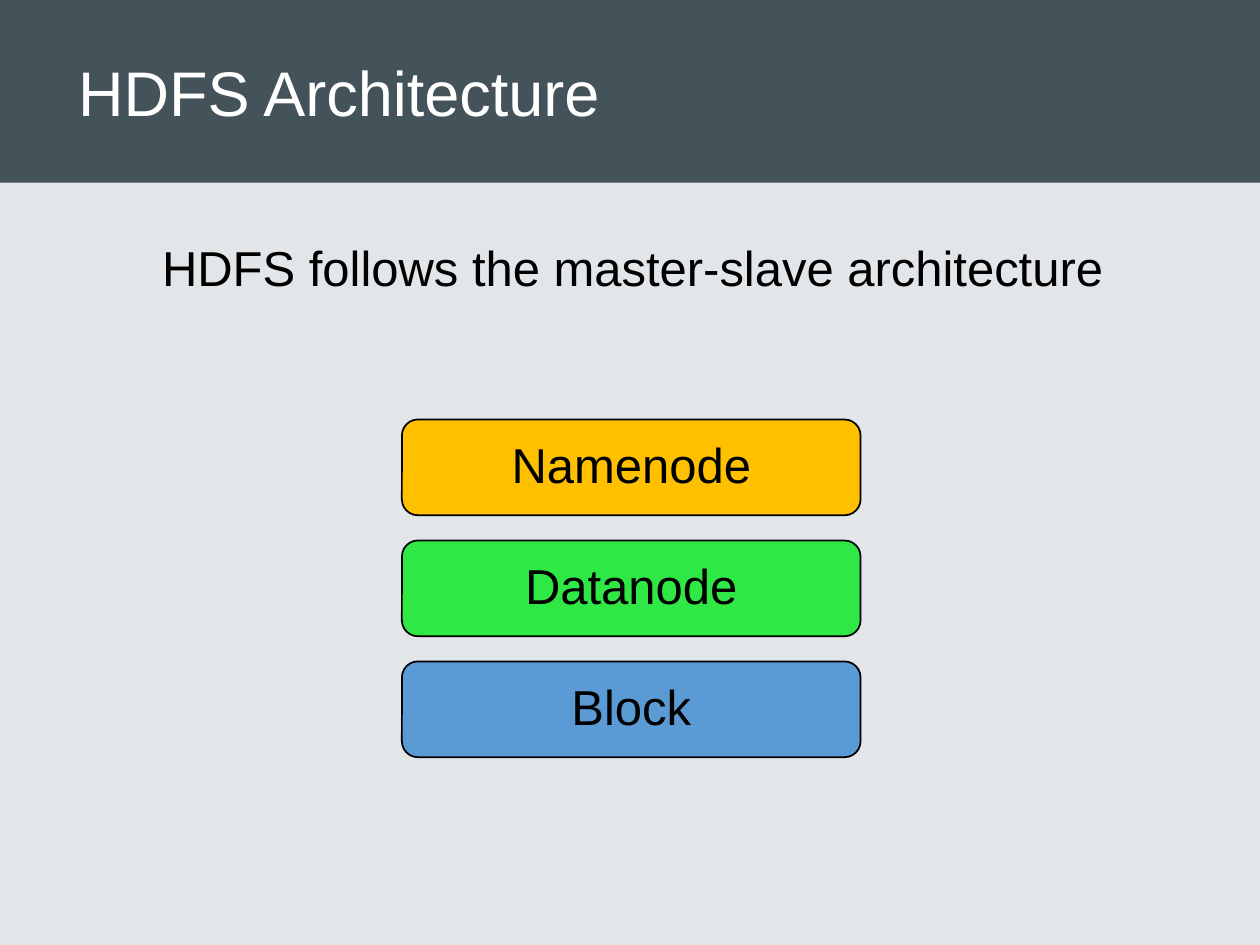
from dataclasses import dataclass

from pptx import Presentation
from pptx.dml.color import RGBColor
from pptx.enum.shapes import MSO_SHAPE
from pptx.enum.text import MSO_ANCHOR, PP_ALIGN
from pptx.shapes.autoshape import Shape
from pptx.slide import Slide
from pptx.util import Inches, Pt

RECT, ROUND = MSO_SHAPE.RECTANGLE, MSO_SHAPE.ROUNDED_RECTANGLE
TOP, MIDDLE = MSO_ANCHOR.TOP, MSO_ANCHOR.MIDDLE
LEFT, CENTER = PP_ALIGN.LEFT, PP_ALIGN.CENTER


@dataclass(frozen=True)
class Theme:
    font: str = "Arial"
    back: str = "E3E6E9"
    band: str = "44525A"
    ink: str = "000000"
    light: str = "FFFFFF"
    head: int = 36
    body: int = 28


@dataclass(frozen=True)
class Node:
    name: str
    fill: str


THEME = Theme()
NODES = [
    Node("Namenode", "FFC000"),
    Node("Datanode", "30E845"),
    Node("Block", "5B9BD5"),
]
NODE_X, NODE_Y, NODE_W, NODE_H = 3.19, 3.33, 3.64, 0.76
STEP = 0.96


def place(shape: Shape, x: float, y: float, w: float, h: float) -> None:
    shape.left, shape.top = Inches(x), Inches(y)
    shape.width, shape.height = Inches(w), Inches(h)


def write(shape: Shape, text: str, size: int, color: str,
          align: PP_ALIGN, anchor: MSO_ANCHOR, lead: float = 1.0) -> None:
    frame = shape.text_frame
    frame.word_wrap = True
    frame.vertical_anchor = anchor
    para = frame.paragraphs[0]
    para.alignment = align
    para.line_spacing = lead
    para.space_before = Pt(0)
    run = para.add_run()
    run.text = text
    run.font.name = THEME.font
    run.font.size = Pt(size)
    run.font.color.rgb = RGBColor.from_string(color)


def add_box(slide: Slide, kind: MSO_SHAPE, fill: str,
            x: float, y: float, w: float, h: float) -> Shape:
    box = slide.shapes.add_shape(kind, Inches(x), Inches(y), Inches(w), Inches(h))
    box.shadow.inherit = False
    box.fill.solid()
    box.fill.fore_color.rgb = RGBColor.from_string(fill)
    box.line.fill.background()
    return box


def add_node(slide: Slide, node: Node, y: float) -> None:
    box = add_box(slide, ROUND, node.fill, NODE_X, y, NODE_W, NODE_H)
    box.line.color.rgb = RGBColor.from_string(THEME.ink)
    box.line.width = Pt(1)
    write(box, node.name, THEME.body, THEME.ink, CENTER, MIDDLE, 0.9)


def main() -> None:
    deck = Presentation()
    deck.slide_width, deck.slide_height = Inches(10), Inches(7.5)
    slide = deck.slides.add_slide(deck.slide_layouts[5])
    slide.background.fill.solid()
    slide.background.fill.fore_color.rgb = RGBColor.from_string(THEME.back)

    # Title on its band, with the band moved behind it
    title = slide.shapes.title
    band = add_box(slide, RECT, THEME.band, 0, 0, 10, 1.45)
    title.element.addprevious(band.element)
    place(title, 0.52, 0, 9.48, 1.45)
    write(title, "HDFS Architecture", THEME.head, THEME.light, LEFT, MIDDLE)

    # Lead sentence
    lead = slide.shapes.add_textbox(Inches(0.52), Inches(1.6), Inches(9), Inches(0.8))
    write(lead, "HDFS follows the master-slave architecture",
          THEME.body, THEME.ink, CENTER, TOP, 1.5)

    # Stack of parts
    for row, node in enumerate(NODES):
        add_node(slide, node, NODE_Y + row * STEP)

    deck.save("out.pptx")


if __name__ == "__main__":
    main()
